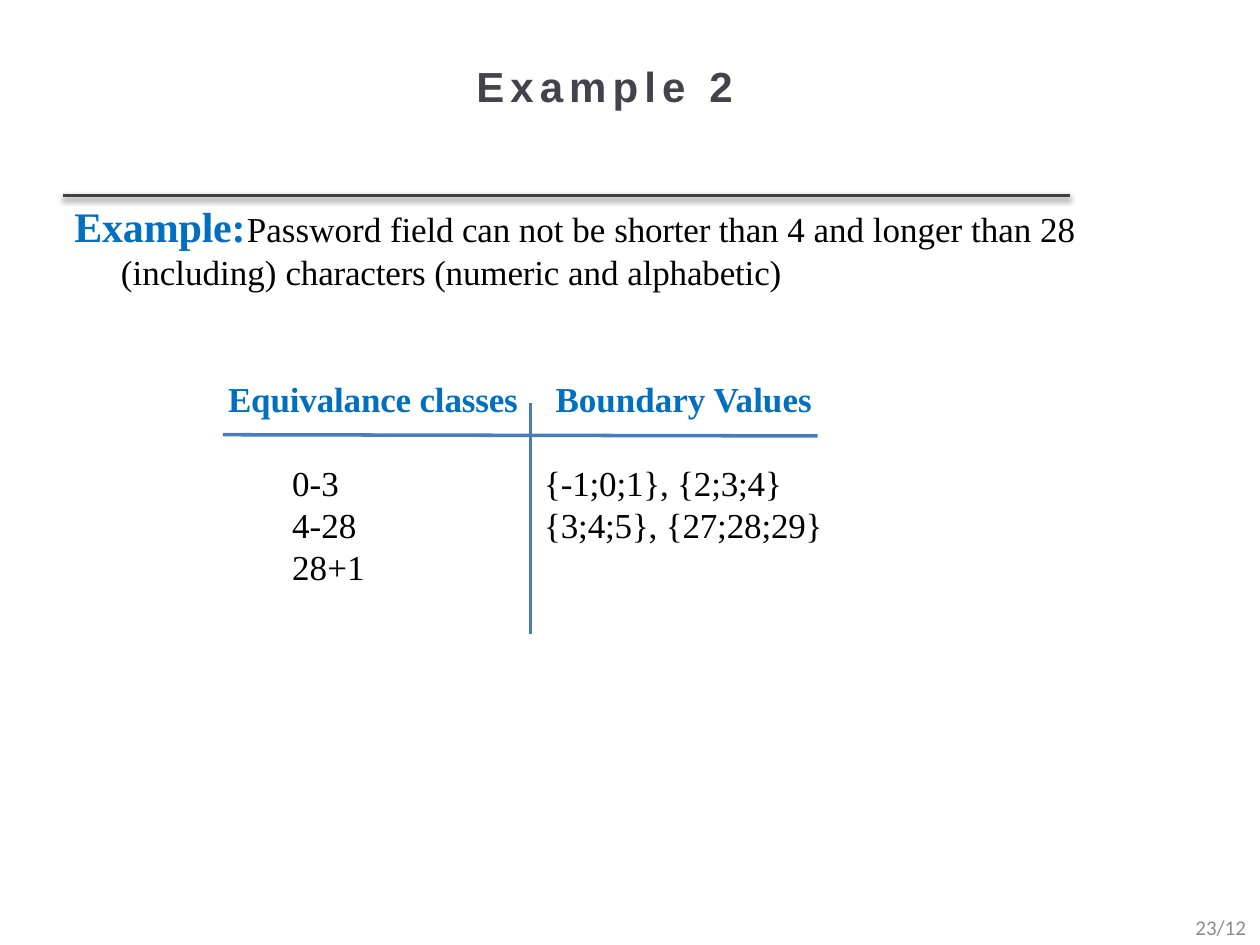
import pptx
import pptx.dml.color
import pptx.enum.shapes
import pptx.enum.text
import pptx.oxml
import pptx.oxml.ns
import pptx.util

COLS, ROWS = 100, 75
SERIF = "Times New Roman"
BLUE, BLACK = "006FBF", "000000"
NS = pptx.oxml.ns.nsdecls("a")

prs = pptx.Presentation()
prs.slide_width = pptx.util.Inches(10)
prs.slide_height = pptx.util.Inches(7.5)


def rgb(value):
    return pptx.dml.color.RGBColor.from_string(value)


def x(col):
    return int(prs.slide_width * col / COLS)


def y(row):
    return int(prs.slide_height * row / ROWS)


def place(sp, box, anchor=pptx.enum.text.MSO_ANCHOR.TOP, top=0.01):
    left, upper, width, height = box
    sp.left, sp.top, sp.width, sp.height = x(left), y(upper), x(width), y(height)
    tf = sp.text_frame
    tf.word_wrap = True
    tf.auto_size = pptx.enum.text.MSO_AUTO_SIZE.NONE
    tf.vertical_anchor = anchor
    tf.margin_left = tf.margin_right = tf.margin_bottom = 0
    tf.margin_top = pptx.util.Inches(top)
    return tf


def indent(p, margin, first=0, tab=None):
    pPr = p._p.get_or_add_pPr()
    pPr.set("marL", str(x(margin)))
    pPr.set("indent", str(x(first)))
    pPr.append(pptx.oxml.parse_xml(f"<a:buNone {NS}/>"))
    if tab:
        pPr.append(pptx.oxml.parse_xml(
            f'<a:tabLst {NS}><a:tab pos="{x(tab)}" algn="l"/></a:tabLst>'))
    p.alignment = pptx.enum.text.PP_ALIGN.LEFT
    p.space_before = p.space_after = pptx.util.Pt(0)


def add_run(p, text, size=20, color=BLACK, bold=False, font=SERIF, spacing=0):
    r = p.add_run()
    r.text = text
    r.font.size = pptx.util.Pt(size)
    r.font.name = font
    r.font.bold = bold
    r.font.color.rgb = rgb(color)
    r._r.get_or_add_rPr().set("spc", str(int(spacing * 100)))


def add_line(s, start, end, color):
    line = s.shapes.add_connector(
        pptx.enum.shapes.MSO_CONNECTOR.STRAIGHT,
        x(start[0]), y(start[1]), x(end[0]), y(end[1]))
    line.line.color.rgb = rgb(color)
    line.line.width = pptx.util.Pt(2)
    effects = pptx.oxml.parse_xml(f"<a:effectLst {NS}/>")
    line._element.spPr.append(effects)
    return effects


def add_heading(s, box):
    tf = place(s.shapes.title, box, pptx.enum.text.MSO_ANCHOR.MIDDLE)
    p = tf.paragraphs[0]
    indent(p, 32.8)
    add_run(p, "Example 2", 24, "46424D", True, "Arial", 3.5)


def add_rule(s, left, row, width):
    effects = add_line(s, (left, row), (left + width, row), "404040")
    effects.append(pptx.oxml.parse_xml(
        f'<a:outerShdw {NS} blurRad="39370" dist="20320" dir="5400000" rotWithShape="0">'
        '<a:srgbClr val="000000"><a:alpha val="38000"/></a:srgbClr></a:outerShdw>'))


def add_statement(s, box):
    p = place(s.placeholders[1], box).paragraphs[0]
    indent(p, 3.9, -3.7, 15.3)
    add_run(p, "Example:\t", 24, BLUE, True, spacing=-0.1)
    for text, spacing in (
        ("Password ", 0), ("field can ", -0.1), ("not be ", 0),
        ("shorter than ", -0.1), ("4 and longer than 28 (including) ", 0),
        ("characters (numeric ", -0.1), ("and ", 0), ("alphabetic)", -0.1),
    ):
        add_run(p, text, spacing=spacing)


def add_lines(s, box, lines, color=BLACK, bold=False, spacing=0):
    tf = place(s.shapes.add_textbox(0, 0, 0, 0), box)
    for i, text in enumerate(lines):
        p = tf.add_paragraph() if i else tf.paragraphs[0]
        indent(p, 0.1)
        add_run(p, text, color=color, bold=bold, spacing=spacing)


def add_classes(s, box):
    left, top, width, height = box
    split = left + 24.4
    header = top + 4.6
    values = top + 6.6
    add_lines(s, (left + 0.3, top, 23.8, 3.6), ["Equivalance classes"], BLUE, True, -0.1)
    add_lines(s, (split + 1.9, top, 21, 3.6), ["Boundary Values"], BLUE, True)
    add_lines(s, (left + 5.4, values, 8, 10.3), ["0-3", "4-28", "28+1"])
    add_lines(s, (split + 1, values, 24, 6.9),
              ["{-1;0;1}, {2;3;4}", "{3;4;5}, {27;28;29}"], spacing=-0.1)
    add_line(s, (left, header), (left + width, header + 0.1), "497DBA")
    add_line(s, (split, top + 2.1), (split, top + height), "497DBA")


def add_page_number(s, box):
    tf = place(s.shapes.add_textbox(0, 0, 0, 0), box,
               pptx.enum.text.MSO_ANCHOR.MIDDLE, 0)
    p = tf.paragraphs[0]
    indent(p, 0.3)
    p.alignment = pptx.enum.text.PP_ALIGN.RIGHT
    p.line_spacing = pptx.util.Pt(27.2)
    add_run(p, "23/12", 12, "8C8C8C", font="Calibri")


def main():
    s = prs.slides.add_slide(prs.slide_layouts[1])
    add_rule(s, 5, 15.5, 79.9)
    add_heading(s, (5, 3, 90, 7.5))
    add_statement(s, (5.7, 15.8, 88.1, 7.6))
    add_classes(s, (17.7, 29.9, 47.2, 20.4))
    add_page_number(s, (90.9, 70.7, 8, 4))
    prs.save("out.pptx")


if __name__ == "__main__":
    main()
